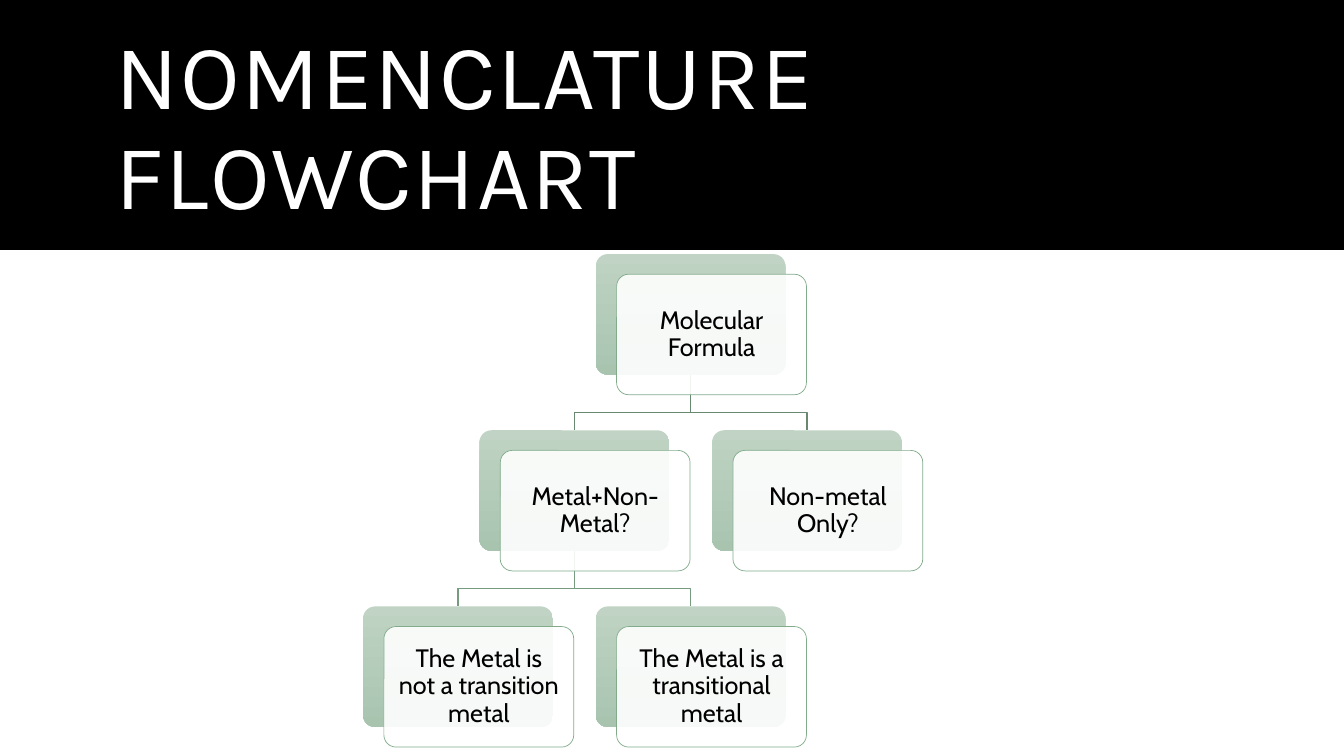
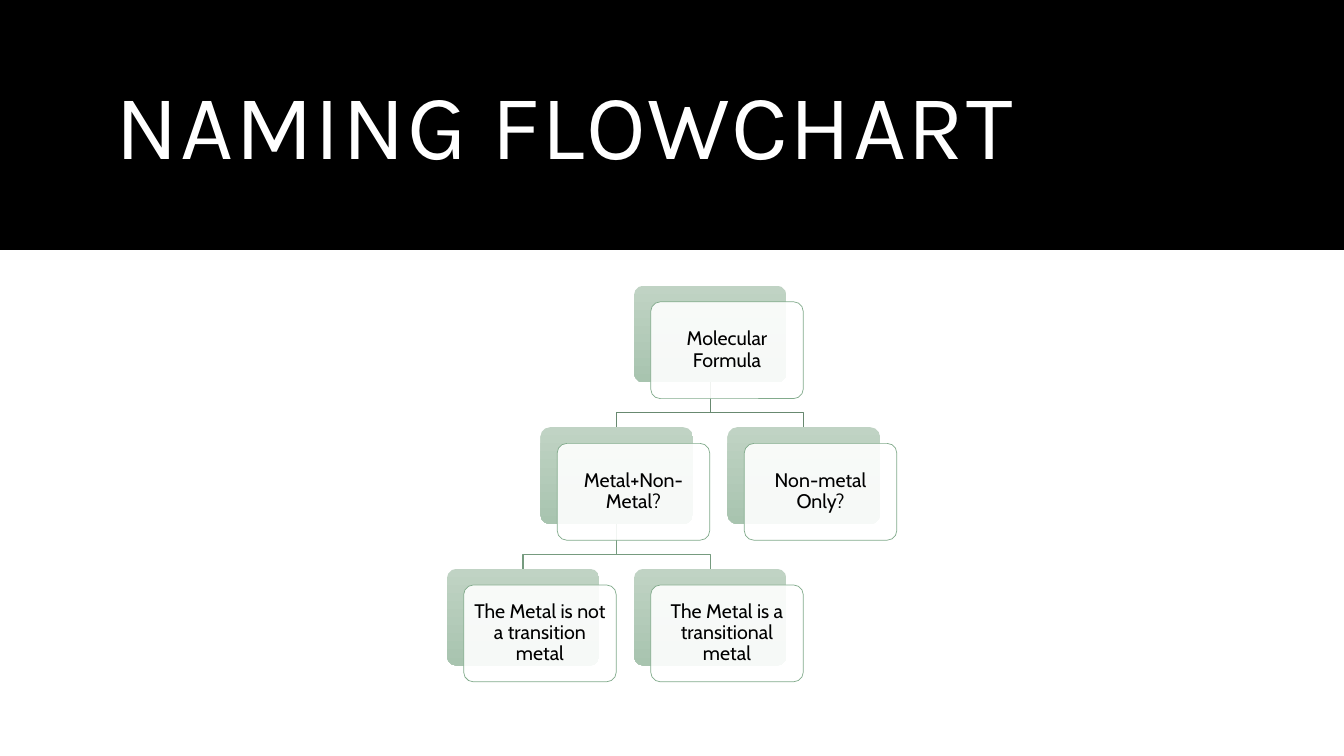
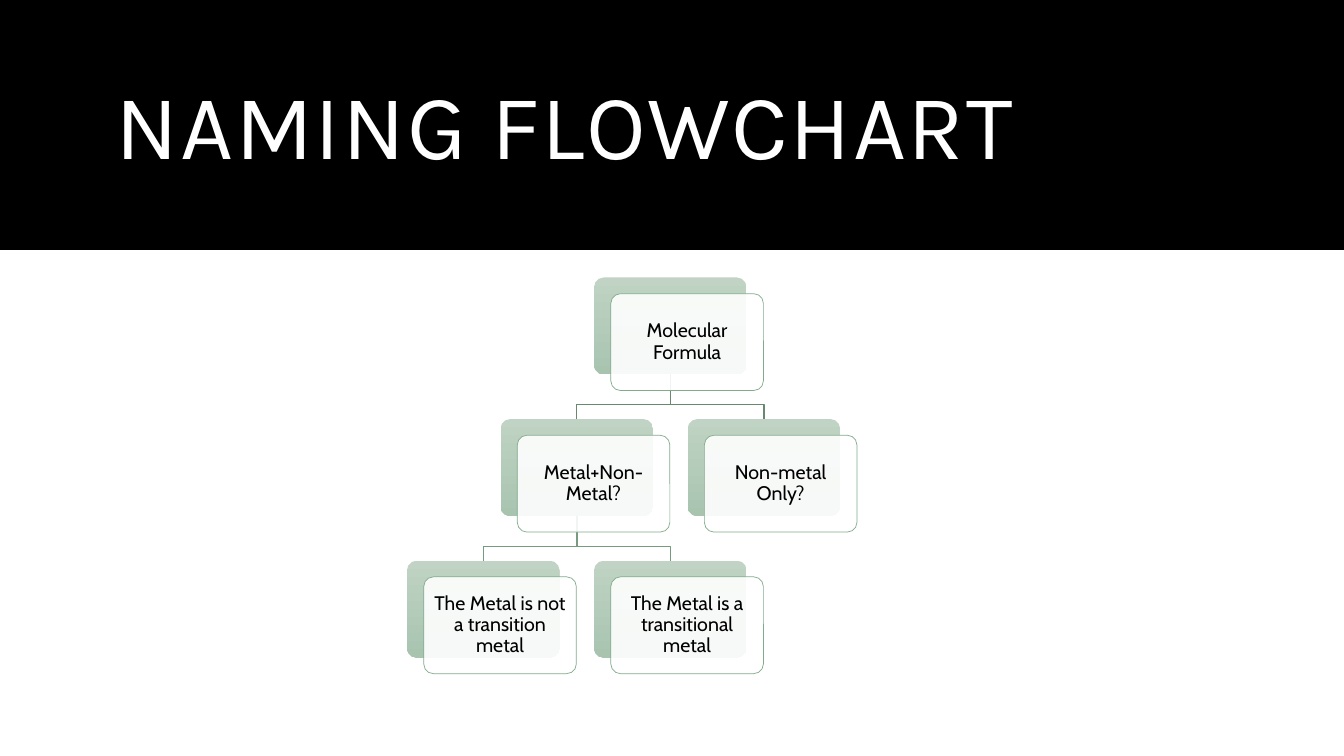
from pptx import Presentation
from pptx.dml.color import RGBColor
from pptx.enum.shapes import MSO_SHAPE as Shape
from pptx.enum.text import MSO_ANCHOR as Anchor, PP_ALIGN as Align
from pptx.oxml.xmlchemy import OxmlElement
from pptx.util import Pt

SLIDE_WIDTH, SLIDE_HEIGHT = 960, 540
BAND_HEIGHT = 178.5
TITLE_BOX = (75.5, 25.5, 808.5, 134)
TITLE_FONT, CARD_FONT = "Karla", "Cabin"

COLORS = {
    "band": "000000",
    "title": "FFFFFF",
    "card": "FFFFFF",
    "card_line": "82AB8C",
    "card_text": "000000",
    "back_top": "C0D3C4",
    "back_bottom": "A8C4AF",
    "root_branch": "688970",
    "lower_branch": "769B7F",
}

CARDS = {
    "formula": ("Molecular Formula", 2, 0),
    "metal": ("Metal+Non-Metal?", 1, 1),
    "main_group": ("The Metal is not a transition metal", 0, 2),
    "transition": ("The Metal is a transitional metal", 2, 2),
    "non_metal": ("Non-metal Only?", 3, 1),
}
BRANCHES = [
    ("formula", "non_metal", "root_branch"),
    ("metal", "transition", "lower_branch"),
    ("metal", "main_group", "lower_branch"),
    ("formula", "metal", "root_branch"),
]

SLIDES = [
    ("NOMENCLATURE FLOWCHART", (259.3, 181.5, 400), 18),
    ("NAMING FLOWCHART", (319.2, 204, 321.5), 14),
    ("NAMING FLOWCHART", (290.7, 198.2, 321.5), 14),
]


def rgb(name):
    return RGBColor.from_string(COLORS[name])


def write(shape, text, *, font, size, color, align, inset=None, spacing=None):
    frame = shape.text_frame
    frame.word_wrap = True
    frame.vertical_anchor = Anchor.MIDDLE
    if inset is not None:
        frame.margin_left = frame.margin_right = Pt(inset)
        frame.margin_top = frame.margin_bottom = Pt(inset)
    paragraph = frame.paragraphs[0]
    paragraph.alignment = align
    paragraph.line_spacing = 0.9
    run = paragraph.add_run()
    run.text = text
    run.font.name = font
    run.font.size = Pt(size)
    run.font.color.rgb = rgb(color)
    if spacing:
        run.font._element.set("spc", str(round(spacing * 100)))


def add_block(slide, kind, left, top, width, height):
    block = slide.shapes.add_shape(kind, Pt(left), Pt(top), Pt(width), Pt(height))
    block.shadow.inherit = False
    block.line.fill.background()
    return block


def add_title_band(slide, title):
    band = add_block(slide, Shape.RECTANGLE, 0, 0, SLIDE_WIDTH, BAND_HEIGHT)
    band.fill.solid()
    band.fill.fore_color.rgb = rgb("band")
    heading = slide.shapes.add_textbox(*map(Pt, TITLE_BOX))
    write(heading, title, font=TITLE_FONT, size=66, color="title",
          align=Align.LEFT, spacing=1.2)


def add_card(slide, text, left, top, width, height, shift, size):
    back = add_block(slide, Shape.ROUNDED_RECTANGLE, left, top, width, height)
    back.adjustments[0] = 0.1
    back.fill.gradient()
    back.fill.gradient_angle = 270
    for stop, name in zip(back.fill.gradient_stops, ("back_top", "back_bottom")):
        stop.color.rgb = rgb(name)

    front = add_block(slide, Shape.ROUNDED_RECTANGLE,
                      left + shift[0], top + shift[1], width, height)
    front.adjustments[0] = 0.1
    front.fill.solid()
    front.fill.fore_color.rgb = rgb("card")
    alpha = OxmlElement("a:alpha")
    alpha.set("val", "90000")
    front.fill._xPr.solidFill[0].append(alpha)
    front.line.color.rgb = rgb("card_line")
    front.line.width = Pt(0.5)
    write(front, text, font=CARD_FONT, size=size, color="card_text",
          align=Align.CENTER, inset=size * 0.3)


def add_branch(slide, start, end, color):
    bend = start[1] + (end[1] - start[1]) * 0.68
    points = [start, (start[0], bend), (end[0], bend), end]
    (first_x, first_y), *rest = [(Pt(x), Pt(y)) for x, y in points]
    builder = slide.shapes.build_freeform(first_x, first_y)
    builder.add_line_segments(rest, close=False)
    branch = builder.convert_to_shape()
    branch.shadow.inherit = False
    branch.fill.background()
    branch.line.color.rgb = rgb(color)
    branch.line.width = Pt(1)


def add_flowchart(slide, left, top, width, size):
    card_width = width / 2.95
    card_height = card_width * 0.635
    column_step = card_width * 0.613
    row_step = card_width * 0.928
    shift = (card_width * 0.11, card_width * 0.106)
    corners = {
        key: (left + column * column_step, top + row * row_step)
        for key, (_, column, row) in CARDS.items()
    }
    for parent, child, color in BRANCHES:
        parent_x, parent_y = corners[parent]
        child_x, child_y = corners[child]
        add_branch(slide, (parent_x + card_width / 2, parent_y + card_height),
                   (child_x + card_width / 2, child_y), color)
    for key, (text, _, _) in CARDS.items():
        add_card(slide, text, *corners[key], card_width, card_height, shift, size)


def main():
    deck = Presentation()
    deck.slide_width, deck.slide_height = Pt(SLIDE_WIDTH), Pt(SLIDE_HEIGHT)
    for title, chart_box, size in SLIDES:
        slide = deck.slides.add_slide(deck.slide_layouts[6])
        add_title_band(slide, title)
        add_flowchart(slide, *chart_box, size)
    deck.save("out.pptx")


if __name__ == "__main__":
    main()
